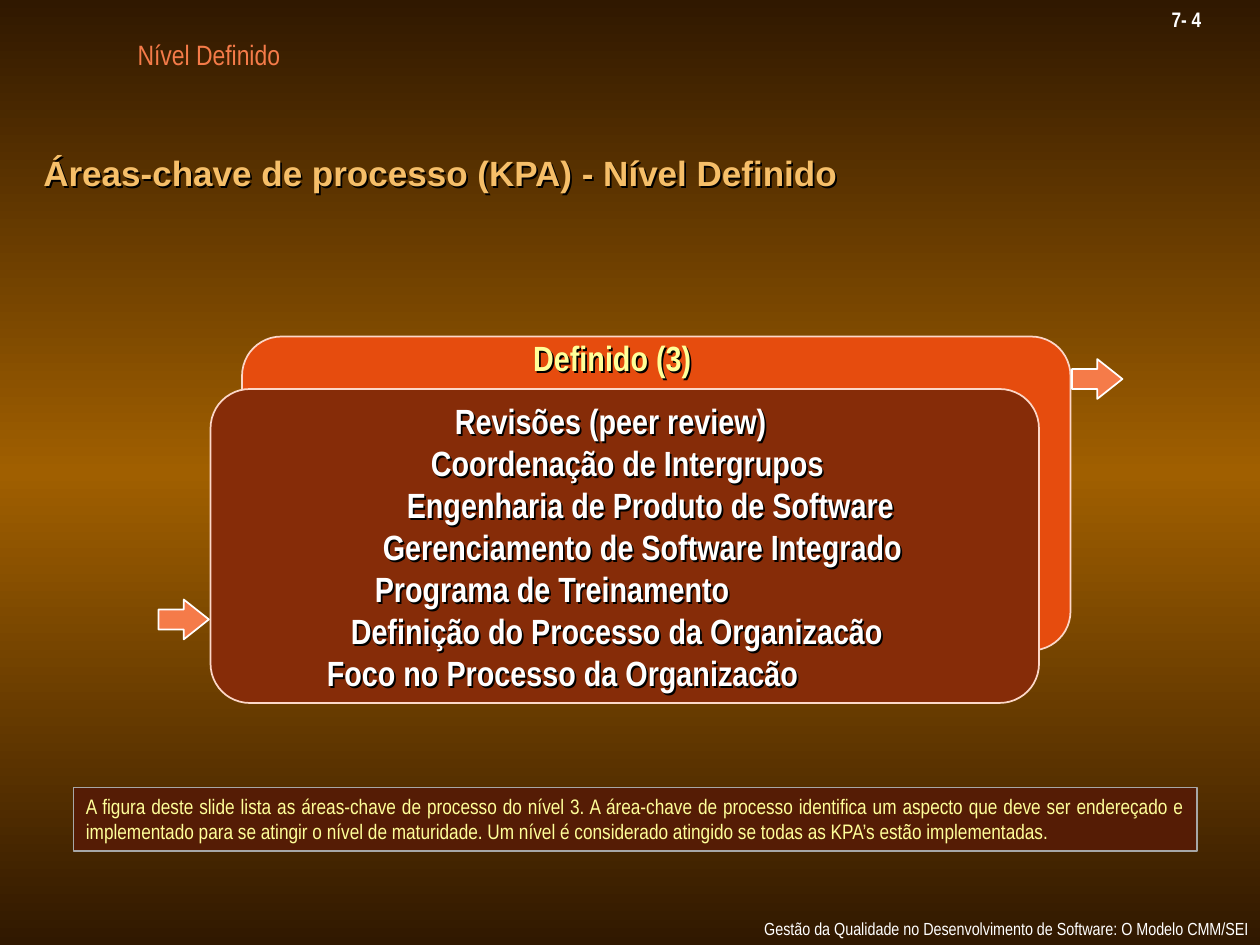
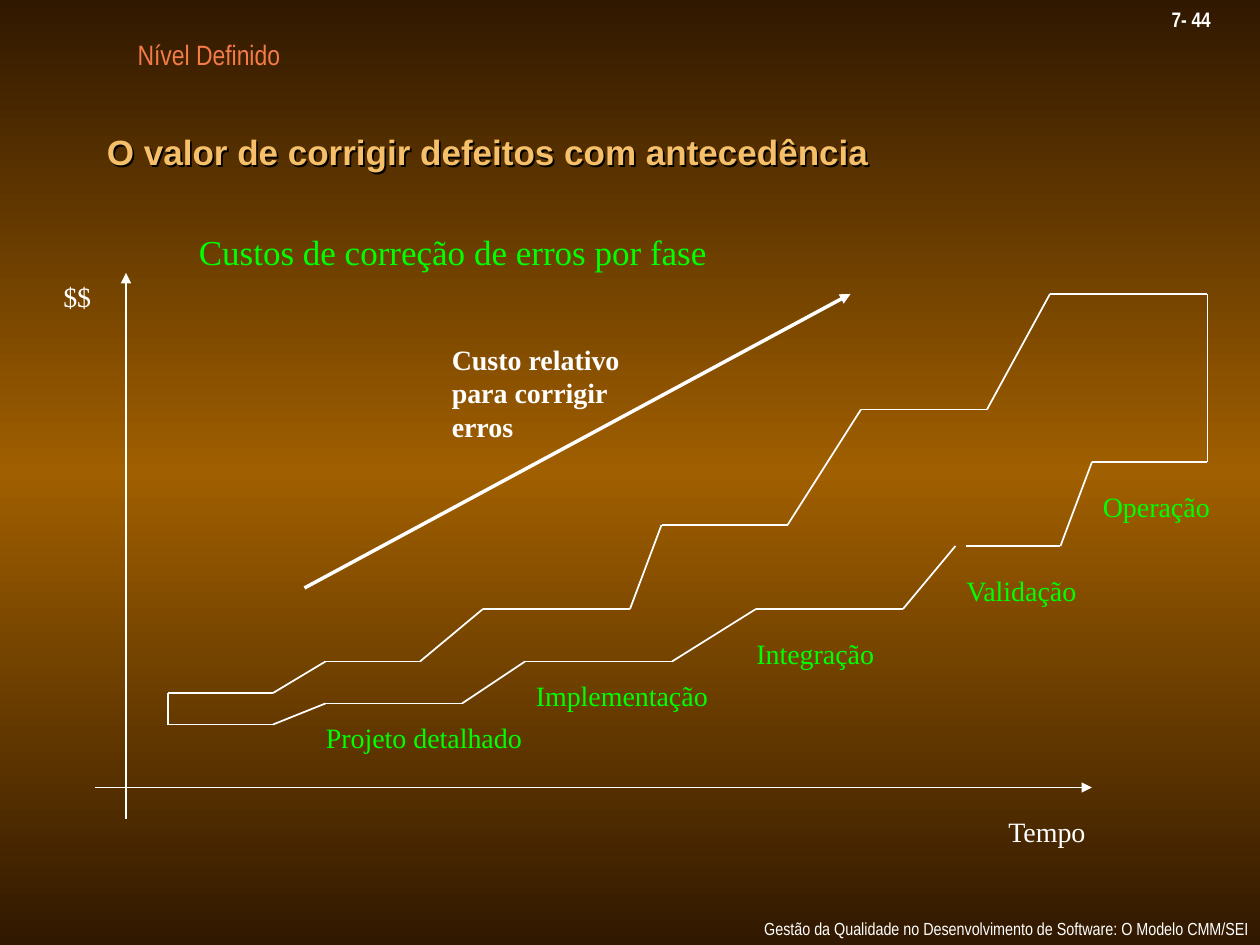
from copy import deepcopy
from dataclasses import dataclass
from itertools import pairwise

from lxml.etree import SubElement
from pptx import Presentation
from pptx.dml.color import RGBColor
from pptx.enum.shapes import MSO_CONNECTOR, MSO_SHAPE
from pptx.enum.text import MSO_ANCHOR, PP_ALIGN
from pptx.oxml.ns import qn
from pptx.util import Inches, Pt

COLORS = {
    "edge": "301800", "glow": "A05F00", "title": "F6BF69", "accent": "F57B49",
    "white": "FFFFFF", "yellow": "FFFF99", "green": "00FF00", "black": "000000",
    "back panel": "E64C0E", "front panel": "862C08", "panel line": "FCD7C8",
    "note": "551C05", "note line": "A7A7A7",
}
SANS, NARROW, SERIF = "Arial", "Arial Narrow", "Times New Roman"
CELL = 1 / 12  # inches per grid cell: 120 columns by 90 rows
INSET = 1.15  # left text inset in cells
SPACE_WIDTH = 0.0635  # inches of indent per step


@dataclass
class Box:
    left: float
    top: float
    width: float
    height: float

    def inner(self, left, top, width, height):
        return Box(self.left + left, self.top + top, width, height)

    def lengths(self):
        return [Inches(cells * CELL) for cells in (self.left, self.top, self.width, self.height)]


PAGE = Box(0, 0, 120, 90)


@dataclass
class Style:
    size: float
    font: str
    color: str
    bold: bool = False
    shadow: bool = False


PHASE_LABEL = Style(16, SERIF, "green")
AXIS_LABEL = Style(16, SERIF, "white")


def rgb(name):
    return RGBColor.from_string(COLORS[name])


# Shared building blocks
def add_shadow(shape):
    effects = SubElement(shape._element.spPr, qn("a:effectLst"))
    shadow = SubElement(effects, qn("a:outerShdw"), dist="17961", dir="2700000",
                        algn="ctr", rotWithShape="0")
    SubElement(shadow, qn("a:srgbClr"), val=COLORS["black"])


def write(frame, lines, style, align=PP_ALIGN.LEFT, indents=None):
    for index, line in enumerate(lines):
        paragraph = frame.paragraphs[0] if index == 0 else frame.add_paragraph()
        paragraph.alignment = align
        if indents:
            properties = paragraph._p.get_or_add_pPr()
            properties.set("marL", str(Inches(indents[index] * SPACE_WIDTH)))
            properties.set("indent", "0")
        run = paragraph.add_run()
        run.text = line
        run.font.size = Pt(style.size)
        run.font.name = style.font
        run.font.bold = style.bold
        run.font.color.rgb = rgb(style.color)


def add_text(slide, box, lines, style, align=PP_ALIGN.LEFT, indents=None,
             anchor=MSO_ANCHOR.TOP, wrap=False):
    shape = slide.shapes.add_textbox(*box.lengths())
    frame = shape.text_frame
    frame.word_wrap = wrap
    frame.vertical_anchor = anchor
    if align == PP_ALIGN.LEFT:
        frame.margin_right = 0
    write(frame, lines, style, align, indents)
    if style.shadow:
        add_shadow(shape)


def add_block(slide, kind, box, fill, line, adjustments=()):
    shape = slide.shapes.add_shape(kind, *box.lengths())
    shape.shadow.inherit = False
    shape.fill.solid()
    shape.fill.fore_color.rgb = rgb(fill)
    shape.line.color.rgb = rgb(line)
    shape.line.width = Pt(1)
    for index, value in enumerate(adjustments):
        shape.adjustments[index] = value
    return shape


def add_line(shapes, box, start, end, width=1, arrow=False):
    points = [Inches((origin + offset) * CELL)
              for point in (start, end)
              for origin, offset in zip((box.left, box.top), point)]
    connector = shapes.add_connector(MSO_CONNECTOR.STRAIGHT, *points)
    connector.line.color.rgb = rgb("white")
    connector.line.width = Pt(width)
    properties = connector._element.spPr
    if arrow:
        SubElement(properties.find(qn("a:ln")), qn("a:tailEnd"), type="triangle")
    SubElement(properties, qn("a:effectLst"))


# Background, header and footer common to all slides
def set_background(master):
    fill = master.background.fill
    fill.gradient()
    fill.gradient_angle = 90
    stops = master.element.find(".//" + qn("p:bg")).find(".//" + qn("a:gsLst"))
    stops.insert(1, deepcopy(stops[0]))
    for stop, color, position in zip(fill.gradient_stops, ("edge", "glow", "edge"), (0, 0.5, 1)):
        stop.color.rgb = rgb(color)
        stop.position = position


def add_frame(presentation, page, number, title, title_box):
    slide = presentation.slides.add_slide(presentation.slide_layouts[6])
    add_text(slide, page.inner(71.6, 86.85, 48.4, 3.1),
             ["Gestão da Qualidade no Desenvolvimento de Software: O Modelo CMM/SEI"],
             Style(10, NARROW, "white"))
    add_text(slide, page.inner(110.4, 0, 9.6, 3.6), [f"7- {number}"],
             Style(12, NARROW, "white", bold=True))
    add_text(slide, page.inner(3, 3, 33.8, 3), ["Nível Definido"],
             Style(16, NARROW, "accent"), PP_ALIGN.CENTER)
    add_text(slide, title_box, [title], Style(20, SANS, "title", bold=True, shadow=True),
             anchor=MSO_ANCHOR.BOTTOM, wrap=True)
    return slide


# Level 3 panels with the list of key process areas
def add_level_panels(slide, box):
    width, height = 78.9, 29.9
    for left, top, fill in ((8, 0, "back panel"), (5, 5, "front panel")):
        add_block(slide, MSO_SHAPE.ROUNDED_RECTANGLE, box.inner(left, top, width, height),
                  fill, "panel line", [0.125])
    for left, top in ((0.05, 25.05), (87.05, 2.15)):
        add_block(slide, MSO_SHAPE.RIGHT_ARROW, box.inner(left, top, 4.8, 3.8),
                  "accent", "white", [0.5, 0.63])
    add_text(slide, box.inner(34.55, -0.6, 20, 5.2), ["Definido (3)"],
             Style(20, NARROW, "yellow", bold=True, shadow=True))
    areas = {
        "Revisões (peer review)": 16,
        "Coordenação de Intergrupos": 13,
        "Engenharia de Produto de Software": 10,
        "Gerenciamento de Software Integrado": 7,
        "Programa de Treinamento": 6,
        "Definição do Processo da Organizacão": 3,
        "Foco no Processo da Organizacão": 0,
    }
    add_text(slide, box.inner(14.9, 5.4, 60, 29.2), areas,
             Style(20, NARROW, "white", bold=True, shadow=True),
             indents=list(areas.values()))


def add_note(slide, box, text):
    note = add_block(slide, MSO_SHAPE.RECTANGLE, box, "note", "note line")
    note.text_frame.word_wrap = True
    note.text_frame.vertical_anchor = MSO_ANCHOR.TOP
    write(note.text_frame, [text], Style(12, NARROW, "yellow"), PP_ALIGN.JUSTIFY)


# Cost by phase diagram, in grid cells from the box corner
def add_cost_diagram(slide, box):
    # Axes
    add_line(slide.shapes, box, (12, 78), (12, 26), arrow=True)
    add_line(slide.shapes, box, (9, 75), (104, 75), arrow=True)

    # Stepped band that widens with time
    lower_start = [(16, 69), (26, 69), (31, 67), (44, 67), (50, 63), (64, 63),
                   (72, 58), (86, 58), (91, 52)]
    lower_end = [(92, 52), (101, 52), (104, 44), (115, 44)]
    upper = [(115, 28), (100, 28), (94, 39), (82, 39), (75, 50), (63, 50),
             (60, 58), (46, 58), (40, 63), (31, 63), (26, 66), (16, 66)]
    band = slide.shapes.add_group_shape()
    for start, end in pairwise(lower_end + upper + lower_start):
        add_line(band.shapes, box, start, end)

    # Trend arrow
    add_line(slide.shapes, box, (29, 56), (81, 28), width=2, arrow=True)

    # Labels: text column, row, width, height, lines, style
    labels = [
        (43, 32, 19, 10.8, ["Custo relativo", "para corrigir", "erros"],
         Style(16, SERIF, "white", bold=True)),
        (31, 68, 21.1, 4.3, ["Projeto detalhado"], PHASE_LABEL),
        (51, 64, 19, 4.3, ["Implementação"], PHASE_LABEL),
        (72, 60, 13.6, 4.3, ["Integração"], PHASE_LABEL),
        (92, 54, 13.2, 4.3, ["Validação"], PHASE_LABEL),
        (105, 46, 12.6, 4.3, ["Operação"], PHASE_LABEL),
        (6, 26, 5, 4.3, ["$$"], AXIS_LABEL),
        (96, 77, 10, 4.3, ["Tempo"], AXIS_LABEL),
        (18.9, 21.4, 50.8, 5.2, ["Custos de correção de erros por fase"],
         Style(20, SERIF, "green")),
    ]
    for column, row, width, height, lines, style in labels:
        add_text(slide, box.inner(column - INSET, row, width, height), lines, style)


def build_process_areas(presentation, page):
    slide = add_frame(presentation, page, 4, "Áreas-chave de processo (KPA) - Nível Definido",
                      page.inner(2.95, 10, 115, 9))
    add_level_panels(slide, page.inner(15.05, 32.05, 92, 35))
    add_note(slide, page.inner(7, 75, 107, 6.05),
             "A figura deste slide lista as áreas-chave de processo do nível 3. "
             "A área-chave de processo identifica um aspecto que deve ser endereçado e "
             "implementado para se atingir o nível de maturidade. Um nível é considerado "
             "atingido se todas as KPA’s estão implementadas.")


def build_defect_costs(presentation, page):
    slide = add_frame(presentation, page, 44, "O valor de corrigir defeitos com antecedência",
                      page.inner(9, 9, 110, 8))
    add_cost_diagram(slide, page)


def main():
    presentation = Presentation()
    presentation.slide_width = Inches(PAGE.width * CELL)
    presentation.slide_height = Inches(PAGE.height * CELL)
    set_background(presentation.slide_master)
    build_process_areas(presentation, PAGE)
    build_defect_costs(presentation, PAGE)
    presentation.save("out.pptx")


if __name__ == "__main__":
    main()
